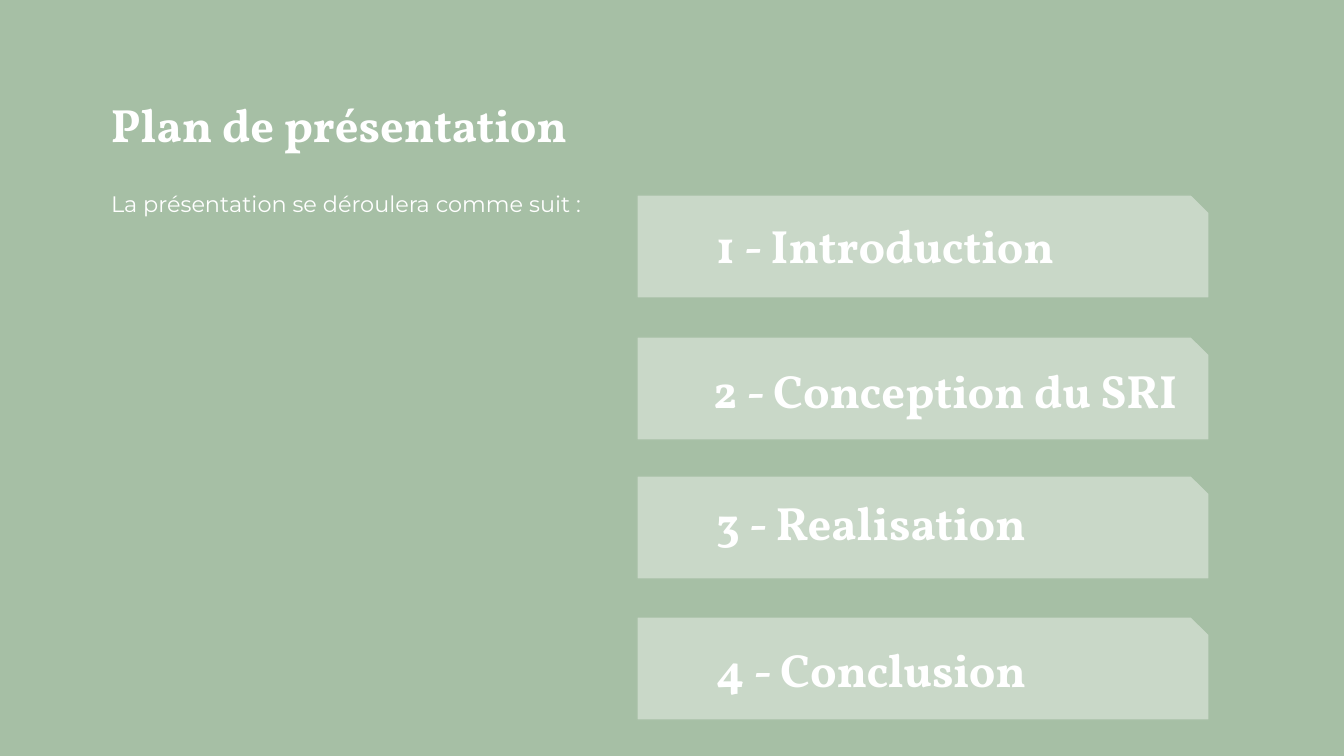
import pptx
import pptx.util
import pptx.dml.color
import pptx.enum.shapes
import pptx.enum.text

TITLE = "Plan de présentation"
INTRO = "La présentation se déroulera comme suit :"
# label, top of bar, left, top and width of label
PARTS = [
    ("1 - Introduction", 195, 636, 204, 520),
    ("2 - Conception du SRI", 337, 633, 349, 573),
    ("3 - Realisation", 476, 636, 481, 520),
    ("4 - Conclusion", 617, 636, 628, 520),
]
THEME = {
    "back": "A6BFA5", "bar": "C9D8C8", "text": "FFFFFF",
    "head": ("Vollkorn", 25, True), "body": ("Montserrat", 12, False),
}
WIDE, HIGH = 1344, 756
BAR_X, BAR_W, BAR_H = 637, 572, 103
PAD, INDENT = 13, 67
SCALE = 914400 / 134.4


def px(n):
    return pptx.util.Emu(round(n * SCALE))


def rgb(name):
    return pptx.dml.color.RGBColor.from_string(THEME[name])


def add_text(slide, text, box, style="head", indent=0):
    frame = slide.shapes.add_textbox(*map(px, box)).text_frame
    frame.word_wrap = True
    frame.vertical_anchor = pptx.enum.text.MSO_ANCHOR.TOP
    frame.margin_left = frame.margin_right = px(PAD)
    frame.margin_top = frame.margin_bottom = px(PAD)
    para = frame.paragraphs[0]
    if indent:
        props = para._p.get_or_add_pPr()
        props.set("marL", "0")
        props.set("indent", str(px(indent)))
    run = para.add_run()
    run.text = text
    font = run.font
    font.name, size, font.bold = THEME[style]
    font.size = pptx.util.Pt(size)
    font.color.rgb = rgb("text")


def add_bar(slide, top):
    kind = pptx.enum.shapes.MSO_SHAPE.SNIP_1_RECTANGLE
    bar = slide.shapes.add_shape(kind, *map(px, (BAR_X, top, BAR_W, BAR_H)))
    bar.adjustments[0] = 0.17
    bar.shadow.inherit = False
    bar.fill.solid()
    bar.fill.fore_color.rgb = rgb("bar")
    bar.line.color.rgb = rgb("back")
    bar.line.width = pptx.util.Pt(0.75)


def main():
    deck = pptx.Presentation()
    deck.slide_width, deck.slide_height = px(WIDE), px(HIGH)
    slide = deck.slides.add_slide(deck.slide_layouts[6])
    fill = slide.background.fill
    fill.solid()
    fill.fore_color.rgb = rgb("back")

    add_text(slide, TITLE, (98, 83, 1148, 66))
    add_text(slide, INTRO, (98, 177, 802, 66), style="body")
    for label, bar_top, left, top, width in PARTS:
        add_bar(slide, bar_top)
        add_text(slide, label, (left, top, width, 83), indent=INDENT)
    deck.save("out.pptx")


if __name__ == "__main__":
    main()
